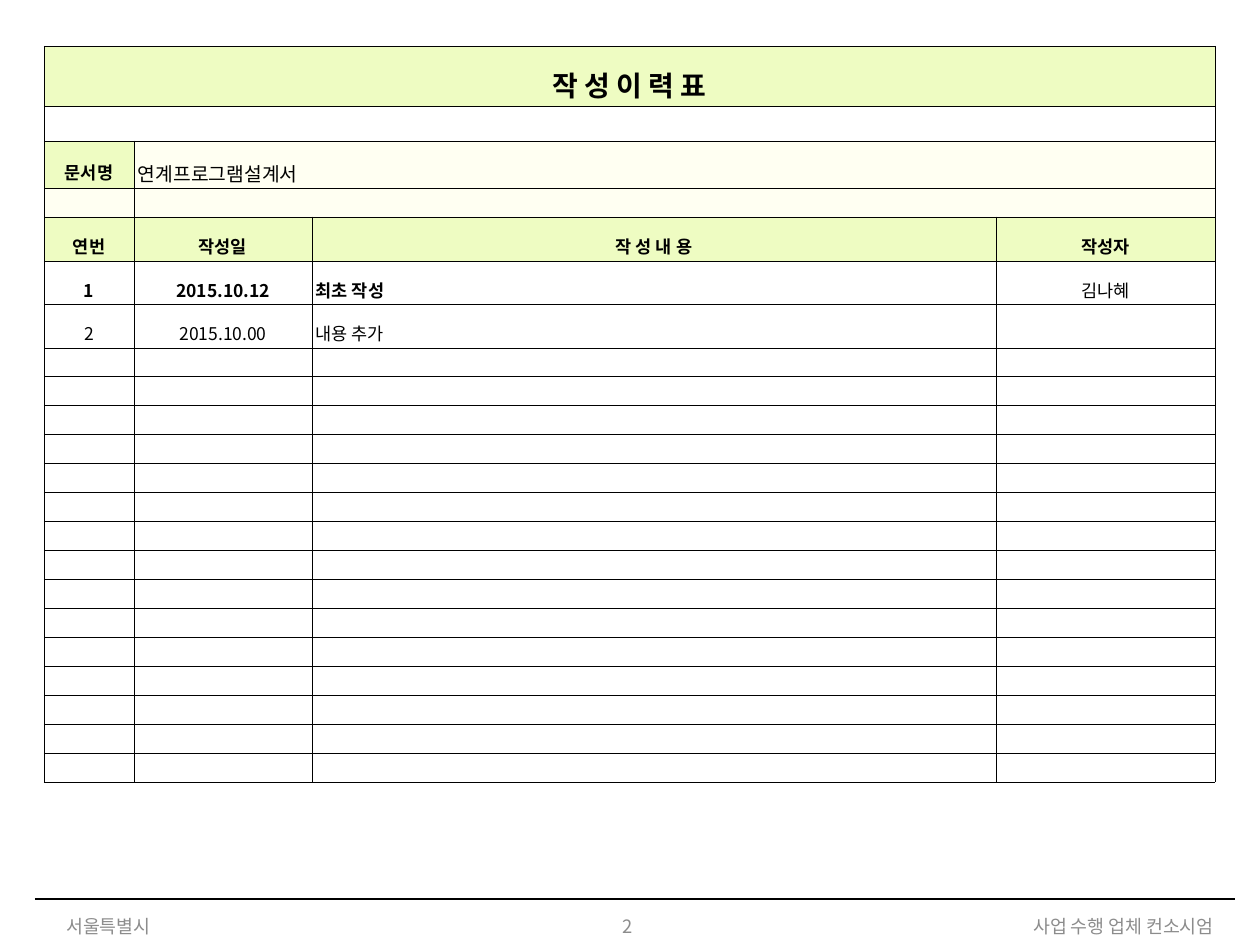
from lxml.etree import SubElement
from pptx import Presentation
from pptx.dml.color import RGBColor
from pptx.enum.shapes import MSO_CONNECTOR
from pptx.enum.text import MSO_ANCHOR, PP_ALIGN
from pptx.oxml import parse_xml
from pptx.oxml.ns import nsdecls, qn
from pptx.util import Pt

PIXEL = 914400 / 126
FONT = "Noto Sans CJK KR"
BLACK = RGBColor(0x00, 0x00, 0x00)
GRAY = RGBColor(0x8C, 0x8C, 0x8C)
LIME = RGBColor(0xEE, 0xFC, 0xC2)
CREAM = RGBColor(0xFF, 0xFF, 0xF2)
LEFT, CENTER, RIGHT = PP_ALIGN.LEFT, PP_ALIGN.CENTER, PP_ALIGN.RIGHT

COLUMNS = [90, 178, 684, 219]
EMPTY_ROWS = 15
ROWS = [60, 35, 47, 29, 44, 43, 44] + [29] * EMPTY_ROWS
MERGES = [(0, 0), (1, 0), (2, 1), (3, 1)]
FILLS = {(0, 0): LIME, (2, 0): LIME, (2, 1): CREAM, (3, 0): CREAM, (3, 1): CREAM}
FILLS.update({(4, column): LIME for column in range(4)})
TITLE = "작 성 이 력 표"
DOCUMENT = ("문서명", "연계프로그램설계서")
HISTORY = [
    ("연번", "작성일", "작 성 내 용", "작성자"),
    ("1", "2015.10.12", "최초 작성", "김나혜"),
    ("2", "2015.10.00", "내용 추가", ""),
]


def emu(pixels):
    """Turn pixels into EMU."""
    return round(pixels * PIXEL)


def write(para, text, size, color, align=LEFT, bold=False):
    """Write text into a paragraph and format it."""
    para.text = text
    para.alignment = align
    font = para.font
    font.size, font.bold, font.name = Pt(size), bold, FONT
    font.color.rgb = color
    properties = para._p.pPr.find(qn("a:defRPr"))
    SubElement(properties, qn("a:ea")).set("typeface", FONT)


def format_cell(cell, fill):
    """Give a cell its fill, margins, borders and small empty line."""
    cell.margin_left = cell.margin_right = emu(4)
    cell.margin_top = cell.margin_bottom = emu(1)
    cell.vertical_anchor = MSO_ANCHOR.MIDDLE
    if fill is None:
        cell.fill.background()
    else:
        cell.fill.solid()
        cell.fill.fore_color.rgb = fill
    for index, side in enumerate(("lnL", "lnR", "lnT", "lnB")):
        border = parse_xml(
            f'<a:{side} {nsdecls("a")} w="{Pt(0.28)}"><a:solidFill>'
            f'<a:srgbClr val="{BLACK}"/></a:solidFill></a:{side}>'
        )
        cell._tc.get_or_add_tcPr().insert(index, border)
    cell.text_frame.paragraphs[0]._p.get_or_add_endParaRPr().set("sz", "800")


def fill_cell(cell, text, size=10, align=CENTER, bold=True, spacing=1.58):
    """Put one line of text into a table cell."""
    para = cell.text_frame.paragraphs[0]
    write(para, text, size, BLACK, align, bold)
    para.line_spacing = spacing


def add_history_table(page, left, top):
    """Add the revision history table at a corner."""
    frame = page.shapes.add_table(
        len(ROWS), len(COLUMNS), emu(left), emu(top), emu(sum(COLUMNS)), emu(sum(ROWS))
    )
    table = frame.table
    table.first_row = table.horz_banding = False
    for column, width in zip(table.columns, COLUMNS):
        column.width = emu(width)
    for row, height in zip(table.rows, ROWS):
        row.height = emu(height)
    for row in range(len(ROWS)):
        for column in range(len(COLUMNS)):
            format_cell(table.cell(row, column), FILLS.get((row, column)))
    for row, column in MERGES:
        table.cell(row, column).merge(table.cell(row, len(COLUMNS) - 1))
    fill_cell(table.cell(0, 0), TITLE, size=16, spacing=1.41)
    label, name = DOCUMENT
    fill_cell(table.cell(2, 0), label)
    fill_cell(table.cell(2, 1), name, size=11, align=LEFT, bold=False)
    for row, entries in enumerate(HISTORY):
        for column, text in enumerate(entries):
            if text:
                align = LEFT if row and column == 2 else CENTER
                bold = row == 0 or (row == 1 and column < 3)
                fill_cell(table.cell(row + 4, column), text, align=align, bold=bold)


def add_footer(page, left, top, width):
    """Add the footer rule and its three texts below it."""
    rule = page.shapes.add_connector(
        MSO_CONNECTOR.STRAIGHT, emu(left), emu(top), emu(left + width), emu(top)
    )
    rule.line.color.rgb = BLACK
    rule.line.width = Pt(1.5)
    SubElement(rule._element.spPr, qn("a:effectLst"))
    for offset, span, text, align in (
        (19, 129, "서울특별시", LEFT),
        (446, 294, "2", CENTER),
        (933, 258, "사업 수행 업체 컨소시엄", RIGHT),
    ):
        box = page.shapes.add_textbox(emu(left + offset), emu(top + 9), emu(span), emu(37))
        box.text_frame.word_wrap = True
        box.text_frame.vertical_anchor = MSO_ANCHOR.MIDDLE
        write(box.text_frame.paragraphs[0], text, 10.5, GRAY, align)


def main():
    """Build the revision history slide."""
    deck = Presentation()
    deck.slide_width, deck.slide_height = emu(1260), emu(945)
    page = deck.slides.add_slide(deck.slide_layouts[6])
    add_history_table(page, 44, 46)
    add_footer(page, 35, 899, 1200)
    deck.save("out.pptx")


main()
